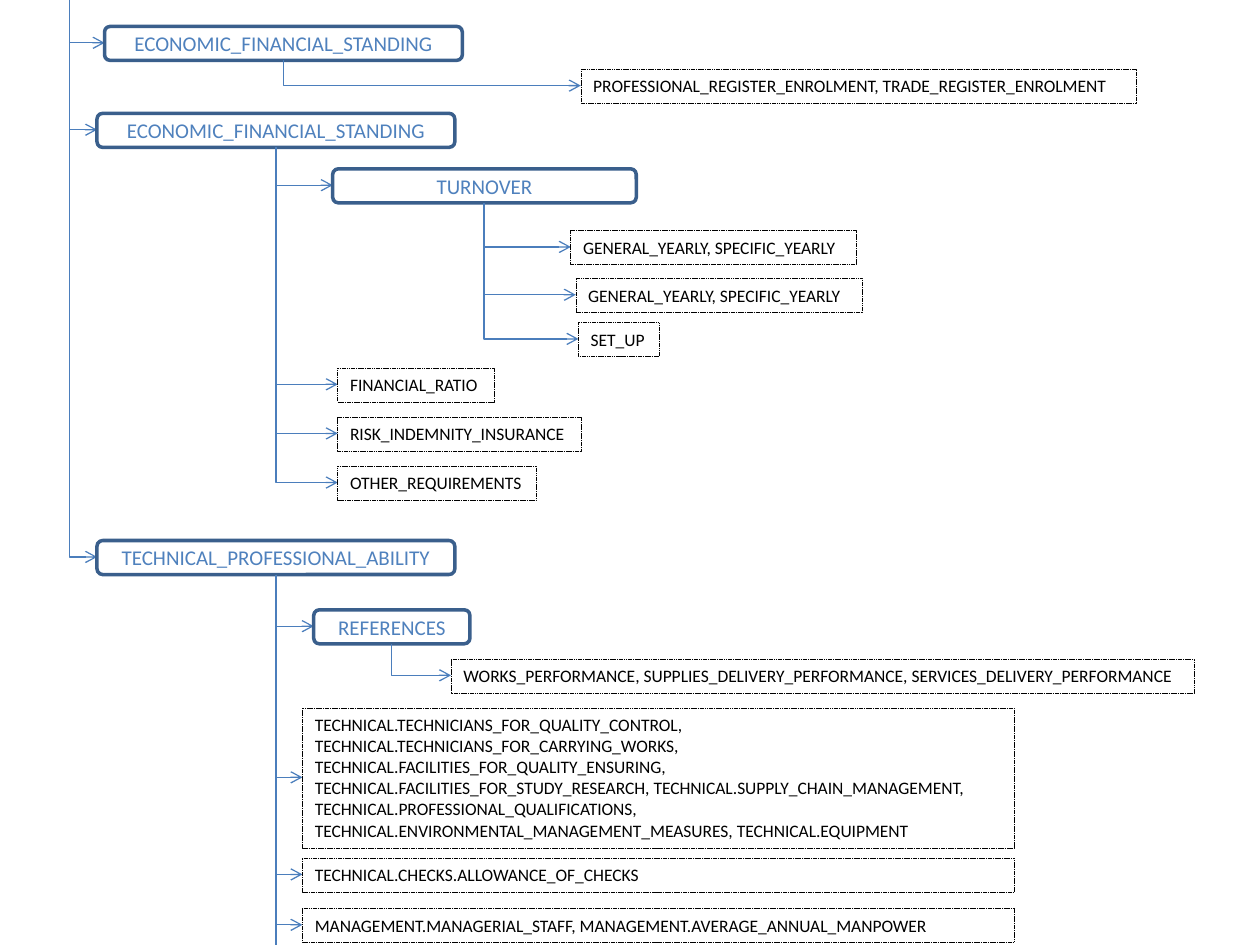
from dataclasses import dataclass

from lxml.etree import SubElement
from pptx import Presentation
from pptx.dml.color import RGBColor
from pptx.enum.dml import MSO_LINE
from pptx.enum.shapes import MSO_CONNECTOR, MSO_SHAPE
from pptx.enum.text import MSO_ANCHOR, MSO_AUTO_SIZE, PP_ALIGN
from pptx.oxml.ns import qn
from pptx.shapes.connector import Connector
from pptx.slide import Slide
from pptx.text.text import TextFrame
from pptx.util import Emu, Pt

PX_PER_INCH = 100
SLIDE_WIDTH, SLIDE_HEIGHT = 1000, 750
ROOT_X = 55
BORDER_BLUE, TEXT_BLUE, ARROW_BLUE, BLACK = "3A5F8C", "4F81BD", "4B7EBC", "000000"


@dataclass(frozen=True)
class Node:
    """A criterion; one with children is a heading, one without is a list of codes."""
    text: str
    left: int
    top: int
    width: int
    height: int = 27
    children: tuple["Node", ...] = ()

    @property
    def outlet(self) -> tuple[int, int]:
        return self.left + self.width // 2, self.top + self.height

    @property
    def inlet(self) -> tuple[int, int]:
        return self.left, self.top + self.height // 2


YEARLY = "GENERAL_YEARLY, SPECIFIC_YEARLY"
TECHNICAL_CODES = (
    "TECHNICAL.TECHNICIANS_FOR_QUALITY_CONTROL, TECHNICAL.TECHNICIANS_FOR_CARRYING_WORKS, "
    "TECHNICAL.FACILITIES_FOR_QUALITY_ENSURING, TECHNICAL.FACILITIES_FOR_STUDY_RESEARCH, "
    "TECHNICAL.SUPPLY_CHAIN_MANAGEMENT, TECHNICAL.PROFESSIONAL_QUALIFICATIONS, "
    "TECHNICAL.ENVIRONMENTAL_MANAGEMENT_MEASURES, TECHNICAL.EQUIPMENT"
)

SUITABILITY = Node("ECONOMIC_FINANCIAL_STANDING", 83, 21, 284, children=(
    Node("PROFESSIONAL_REGISTER_ENROLMENT, TRADE_REGISTER_ENROLMENT", 461, 55, 441),
))
TURNOVER = Node("TURNOVER", 264, 134, 241, children=(
    Node(YEARLY, 453, 183, 227),
    Node(YEARLY, 457, 221, 227),
    Node("SET_UP", 459, 256, 64),
))
STANDING = Node("ECONOMIC_FINANCIAL_STANDING", 77, 90, 284, children=(
    TURNOVER,
    Node("FINANCIAL_RATIO", 268, 292, 124),
    Node("RISK_INDEMNITY_INSURANCE", 268, 331, 193),
    Node("OTHER_REQUIREMENTS", 268, 370, 158),
))
REFERENCES = Node("REFERENCES", 249, 484, 124, children=(
    Node("WORKS_PERFORMANCE, SUPPLIES_DELIVERY_PERFORMANCE, SERVICES_DELIVERY_PERFORMANCE",
         358, 523, 590),
))
ABILITY = Node("TECHNICAL_PROFESSIONAL_ABILITY", 77, 429, 284, children=(
    REFERENCES,
    Node(TECHNICAL_CODES, 240, 562, 565, 111),
    Node("TECHNICAL.CHECKS.ALLOWANCE_OF_CHECKS", 240, 681, 565),
    Node("MANAGEMENT.MANAGERIAL_STAFF, MANAGEMENT.AVERAGE_ANNUAL_MANPOWER", 240, 721, 565),
))


def px(length: float) -> Emu:
    return Emu(round(length * 914400 / PX_PER_INCH))


def color(value: str) -> RGBColor:
    return RGBColor.from_string(value)


def write(frame: TextFrame, text: str, *, size: int, ink: str,
          align: PP_ALIGN, anchor: MSO_ANCHOR) -> None:
    frame.word_wrap = True
    frame.vertical_anchor = anchor
    para = frame.paragraphs[0]
    para.alignment = align
    span = para.add_run()
    span.text = text
    span.font.name = "Calibri"
    span.font.size = Pt(size)
    span.font.color.rgb = color(ink)


def draw_box(page: Slide, node: Node) -> None:
    heading = bool(node.children)
    kind = MSO_SHAPE.ROUNDED_RECTANGLE if heading else MSO_SHAPE.RECTANGLE
    box = page.shapes.add_shape(kind, px(node.left), px(node.top), px(node.width), px(node.height))
    box.shadow.inherit = False
    box.fill.background()
    box.line.color.rgb = color(BORDER_BLUE if heading else BLACK)
    box.line.width = Pt(2 if heading else 0.25)
    if heading:
        write(box.text_frame, node.text, size=12, ink=TEXT_BLUE,
              align=PP_ALIGN.CENTER, anchor=MSO_ANCHOR.MIDDLE)
    else:
        box.line.dash_style = MSO_LINE.SQUARE_DOT
        write(box.text_frame, node.text, size=10, ink=BLACK,
              align=PP_ALIGN.LEFT, anchor=MSO_ANCHOR.TOP)
        box.text_frame.auto_size = MSO_AUTO_SIZE.SHAPE_TO_FIT_TEXT


def add_line(page: Slide, kind: MSO_CONNECTOR, start: tuple[float, float],
             end: tuple[float, float]) -> Connector:
    line = page.shapes.add_connector(kind, *map(px, start), *map(px, end))
    line.line.color.rgb = color(ARROW_BLUE)
    line.line.width = Pt(0.75)
    SubElement(line.element.spPr, qn("a:effectLst"))
    return line


def draw_arrow(page: Slide, start: tuple[int, int], end: tuple[int, int]) -> None:
    """Run down from start, then right to end, as a one-bend connector turned by 270 degrees."""
    across, down = end[0] - start[0], end[1] - start[1]
    left = (start[0] + end[0] - down) / 2
    top = (start[1] + end[1] - across) / 2
    arrow = add_line(page, MSO_CONNECTOR.ELBOW, (left, top), (left + down, top + across))
    properties = arrow.element.spPr
    frame = properties.find(qn("a:xfrm"))
    frame.set("rot", str(270 * 60000))
    frame.set("flipH", "1")
    properties.find(qn("a:prstGeom")).set("prst", "bentConnector2")
    SubElement(properties.find(qn("a:ln")), qn("a:tailEnd"), type="arrow")


def draw_branch(page: Slide, node: Node, origin: tuple[int, int]) -> None:
    """Draw a node, the arrow that leads to it and everything below it."""
    draw_arrow(page, origin, node.inlet)
    draw_box(page, node)
    for child in node.children:
        draw_branch(page, child, node.outlet)


def main() -> None:
    deck = Presentation()
    deck.slide_width, deck.slide_height = px(SLIDE_WIDTH), px(SLIDE_HEIGHT)
    page = deck.slides.add_slide(deck.slide_layouts[6])
    for node in (SUITABILITY, STANDING, ABILITY):
        draw_branch(page, node, (ROOT_X, 0))
    add_line(page, MSO_CONNECTOR.STRAIGHT, ABILITY.outlet, (ABILITY.outlet[0], SLIDE_HEIGHT))
    deck.save("out.pptx")


if __name__ == "__main__":
    main()
